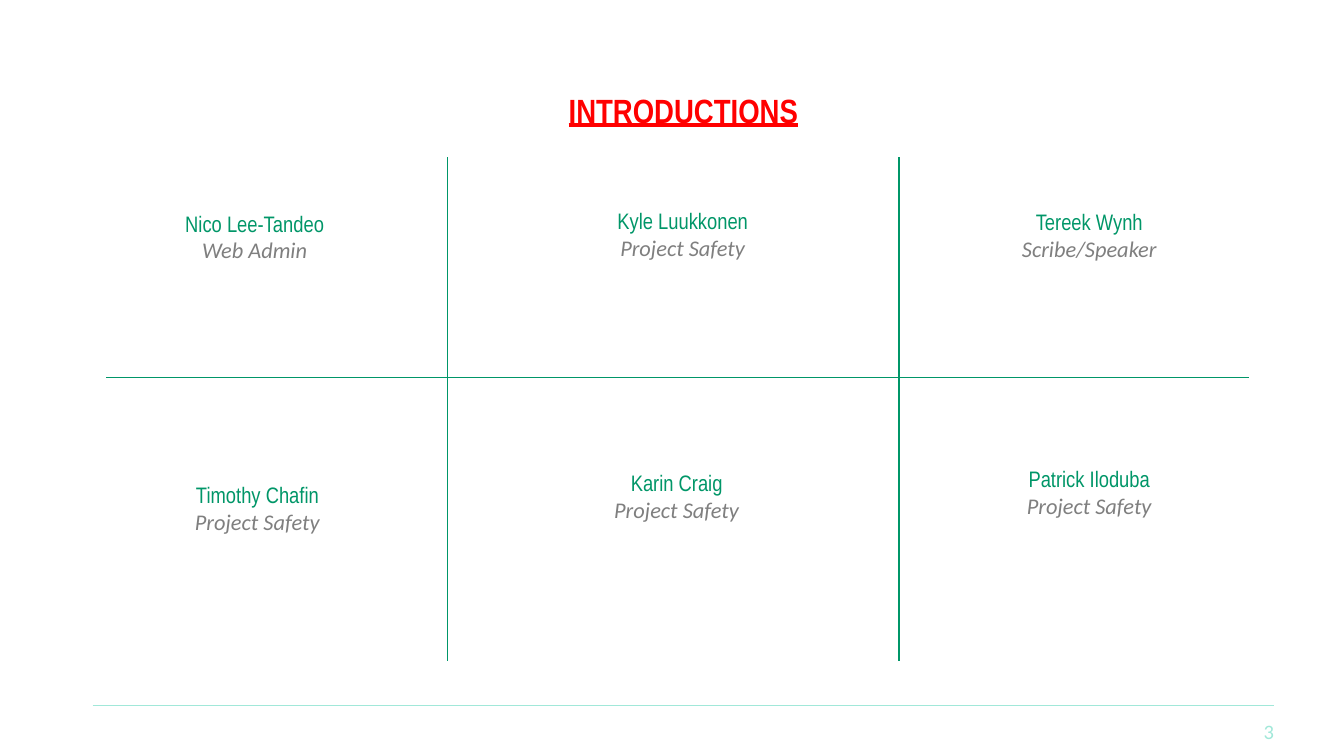
from lxml import etree
from pptx import Presentation
from pptx.dml.color import RGBColor
from pptx.enum.shapes import MSO_CONNECTOR
from pptx.enum.text import MSO_ANCHOR, MSO_AUTO_SIZE, PP_ALIGN
from pptx.oxml.ns import qn
from pptx.util import Inches, Pt

CENTER, RIGHT = PP_ALIGN.CENTER, PP_ALIGN.RIGHT
TOP, MIDDLE, BOTTOM = MSO_ANCHOR.TOP, MSO_ANCHOR.MIDDLE, MSO_ANCHOR.BOTTOM
STRAIGHT = MSO_CONNECTOR.STRAIGHT
GREEN, GREY, RED, MINT = "009668", "7F7F7F", "FF0000", "A1E8D9"
NAME_FONT, ROLE_FONT = "Arial Narrow", "Calibri"

# Content: name, role, then left, top, width and height of the box
TITLE = "INTRODUCTIONS"
PAGE = "3"
TEAM = [
    ("Nico Lee-Tandeo", "Web Admin", (0.97, 1.52, 1.85, 0.68)),
    ("Kyle Luukkonen", "Project Safety", (4.29, 1.5, 1.58, 0.71)),
    ("Tereek Wynh", "Scribe/Speaker", (7.35, 1.51, 1.51, 0.71)),
    ("Timothy Chafin", "Project Safety", (0.99, 3.54, 1.85, 0.68)),
    ("Karin Craig", "Project Safety", (4.11, 3.45, 1.85, 0.68)),
    ("Patrick Iloduba", "Project Safety", (7.18, 3.42, 1.85, 0.68)),
]

# Layout in inches, on a 16:9 slide
WIDTH = 10
HEIGHT = WIDTH * 9 / 16
LEFT, CONTENT_W = 0.69, 8.79
FOOTER_Y, PAGE_SIZE = 5.25, 0.38
GRID_LEFT, GRID_RIGHT, GRID_TOP, GRID_BOTTOM = 0.79, 9.29, 1.17, 4.92
DIVIDERS_X, DIVIDER_Y = (3.33, 6.69), 2.81


def rgb(color):
    return RGBColor.from_string(color)


def add_line(x1, y1, x2, y2, color):
    line = s.shapes.add_connector(STRAIGHT, *map(Inches, (x1, y1, x2, y2)))
    line.line.color.rgb = rgb(color)
    line.line.width = Pt(0.75)
    etree.SubElement(line._element.spPr, qn("a:effectLst"))


def set_frame(sp, anchor, align, inset_x=0, inset_y=0):
    tf = sp.text_frame
    tf.word_wrap = True
    tf.auto_size = MSO_AUTO_SIZE.NONE
    tf.vertical_anchor = anchor
    tf.margin_left = tf.margin_right = Inches(inset_x)
    tf.margin_top = tf.margin_bottom = Inches(inset_y)
    p = tf.paragraphs[0]
    p.alignment = align
    return p


def add_run(p, text, size, font, color, **style):
    r = p.add_run()
    r.text = text
    r.font.size = Pt(size)
    r.font.name = font
    r.font.color.rgb = rgb(color)
    for key, value in style.items():
        setattr(r.font, key, value)


def add_box(x, y, w, h):
    return s.shapes.add_textbox(*map(Inches, (x, y, w, h)))


prs = Presentation()
prs.slide_width, prs.slide_height = Inches(WIDTH), Inches(HEIGHT)
s = prs.slides.add_slide(prs.slide_layouts[5])

# Title
title = s.shapes.title
title.left, title.top, title.width, title.height = map(
    Inches, (LEFT, 0.17, CONTENT_W, 0.8))
p = set_frame(title, BOTTOM, CENTER)
p.line_spacing = 0.9
add_run(p, TITLE, 18, NAME_FONT, RED, bold=True, underline=True)

# Footer rule and page number
right = LEFT + CONTENT_W
add_line(LEFT, FOOTER_Y, right, FOOTER_Y, MINT)
page = add_box(right - PAGE_SIZE, FOOTER_Y, PAGE_SIZE, PAGE_SIZE)
add_run(set_frame(page, MIDDLE, RIGHT), PAGE, 11, ROLE_FONT, MINT)

# Dividers of the team grid
for x in DIVIDERS_X:
    add_line(x, GRID_TOP, x, GRID_BOTTOM, GREEN)
add_line(GRID_LEFT, DIVIDER_Y, GRID_RIGHT, DIVIDER_Y, GREEN)

# Team members
for name, role, box in TEAM:
    p = set_frame(add_box(*box), TOP, CENTER, 0.07, 0.04)
    add_run(p, name, 12, NAME_FONT, GREEN)
    p.add_line_break()
    add_run(p, role, 12, ROLE_FONT, GREY, italic=True)

prs.save("out.pptx")
